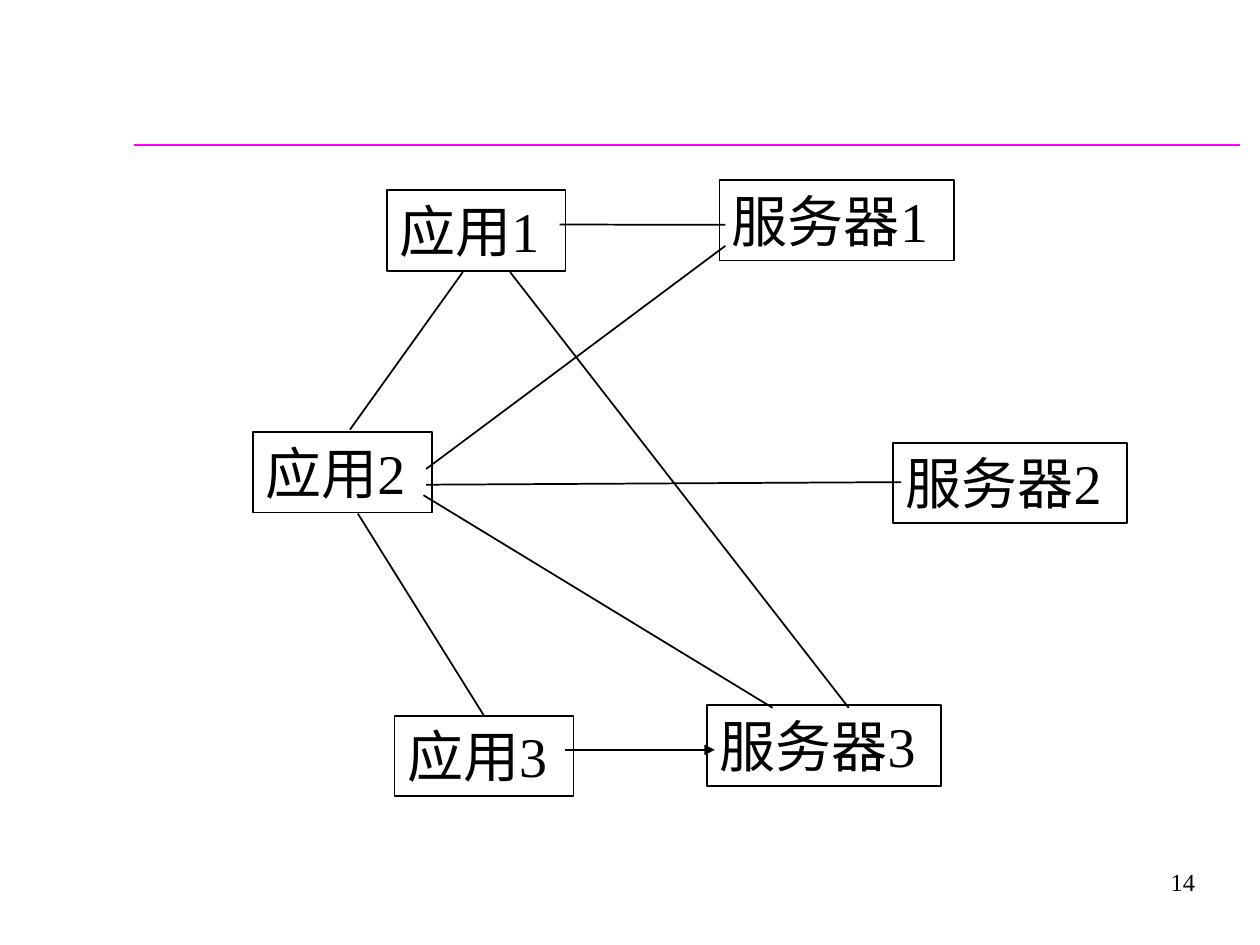
import pptx
import pptx.dml.color
import pptx.enum.shapes
import pptx.enum.text
import pptx.oxml.ns
import pptx.util
from lxml import etree

Pt = pptx.util.Pt
ALIGN = pptx.enum.text.PP_ALIGN
ANCHOR = pptx.enum.text.MSO_ANCHOR
BLACK = pptx.dml.color.RGBColor(0x00, 0x00, 0x00)
MAGENTA = pptx.dml.color.RGBColor(0xFF, 0x00, 0xFF)
FONT = "Times New Roman"
BOX_HEIGHT = 46.1
APP_WIDTH, SERVER_WIDTH = 102.2, 133.9


def write(shape, text, size=32, align=ALIGN.LEFT, anchor=ANCHOR.TOP):
    tf = shape.text_frame
    tf.word_wrap = False
    tf.vertical_anchor = anchor
    p = tf.paragraphs[0]
    p.alignment = align
    r = p.add_run()
    r.text = text
    r.font.name = FONT
    r.font.size = Pt(size)
    r.font.color.rgb = BLACK


def add_line(s, start, end, color=BLACK, width=1, arrow=False):
    line = s.shapes.add_connector(
        pptx.enum.shapes.MSO_CONNECTOR.STRAIGHT, *map(Pt, start + end))
    line.line.color.rgb = color
    line.line.width = Pt(width)
    if arrow:
        ln = line.line._get_or_add_ln()
        etree.SubElement(ln, pptx.oxml.ns.qn("a:tailEnd"), type="triangle")
    etree.SubElement(line._element.spPr, pptx.oxml.ns.qn("a:effectLst"))
    return line


prs = pptx.Presentation()
prs.slide_width, prs.slide_height = Pt(720), Pt(540)
s = prs.slides.add_slide(prs.slide_layouts[6])

add_line(s, (76.5, 82.8), (708.5, 82.8), color=MAGENTA, width=1.5)

number = s.shapes.add_textbox(Pt(540), Pt(486), Pt(150), Pt(36))
write(number, "14", size=14, align=ALIGN.RIGHT, anchor=ANCHOR.MIDDLE)

boxes = {}
for text, left, top, width in [
    ("应用1", 221, 108.8, APP_WIDTH),
    ("应用2", 144.5, 246.8, APP_WIDTH),
    ("应用3", 225.5, 409, APP_WIDTH),
    ("服务器1", 411.2, 102.8, SERVER_WIDTH),
    ("服务器2", 510.3, 253, SERVER_WIDTH),
    ("服务器3", 404, 403, SERVER_WIDTH),
]:
    sp = s.shapes.add_shape(pptx.enum.shapes.MSO_SHAPE.RECTANGLE,
                            Pt(left), Pt(top), Pt(width), Pt(BOX_HEIGHT))
    sp.shadow.inherit = False
    sp.fill.background()
    sp.line.color.rgb = BLACK
    sp.line.width = Pt(1)
    write(sp, text)
    boxes[text] = sp

for start, end in [
    ((264.5, 155.5), (200, 245.5)),    # 应用1 - 应用2
    ((319.8, 128.3), (414.5, 128.5)),  # 应用1 - 服务器1
    ((291.5, 155.5), (485, 404.5)),    # 应用1 - 服务器3
    ((243.5, 268), (414.5, 140.5)),    # 应用2 - 服务器1
    ((243.5, 277), (515, 275.5)),      # 应用2 - 服务器2
    ((242, 283), (441.5, 404.5)),      # 应用2 - 服务器3
]:
    add_line(s, start, end)

app_link = add_line(s, (275, 409), (204.5, 293.5))
app_link.begin_connect(boxes["应用3"], 0)
add_line(s, (323, 428.5), (408.5, 428.5), arrow=True)

prs.save("out.pptx")
